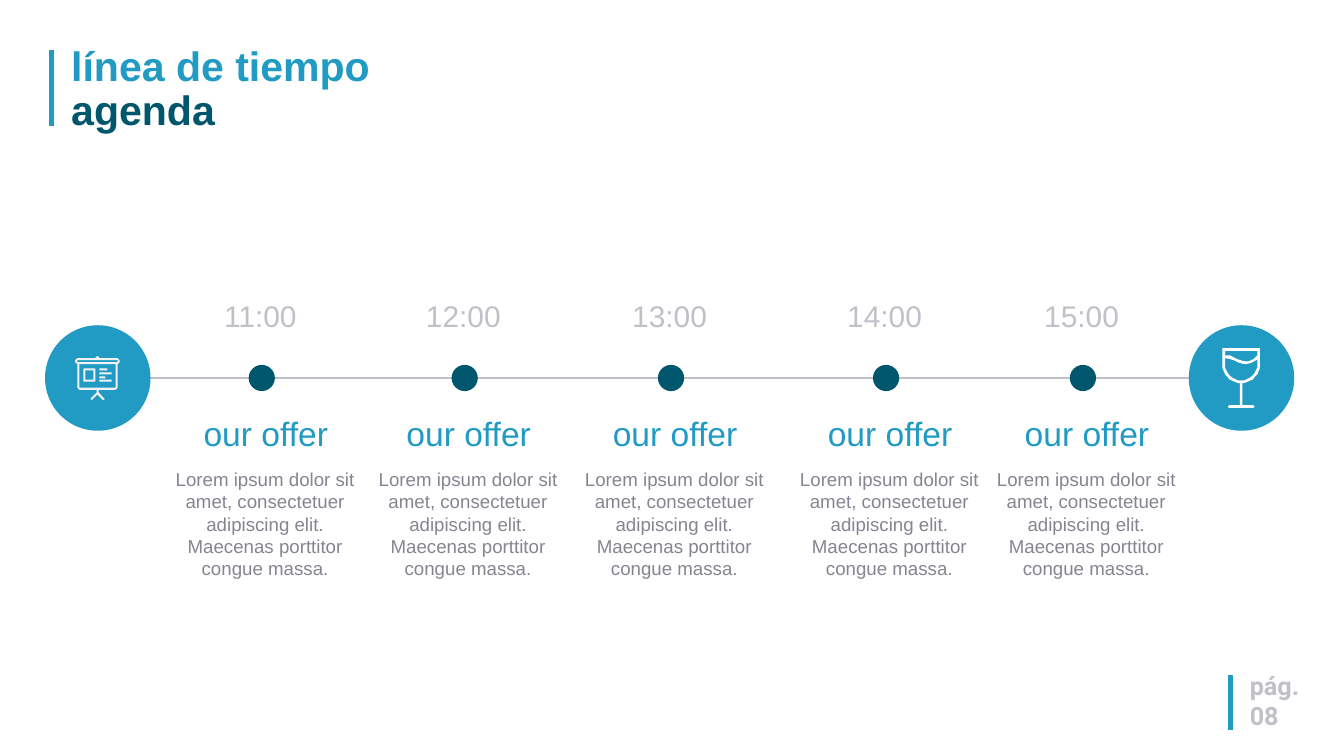
from dataclasses import dataclass
from math import cos, radians, sin

from lxml import etree
from pptx import Presentation
from pptx.dml.color import RGBColor
from pptx.enum.shapes import MSO_CONNECTOR, MSO_SHAPE
from pptx.enum.text import MSO_ANCHOR, MSO_AUTO_SIZE, PP_ALIGN
from pptx.oxml.ns import qn
from pptx.util import Emu, Pt

PX = 9144  # 100 px to the inch


@dataclass(frozen=True)
class Theme:
    blue: str = "219BC3"
    teal: str = "00566C"
    silver: str = "C0C0C8"
    gray: str = "858591"
    white: str = "FFFFFF"
    mist: str = "F2F2F5"
    font: str = "Arial"
    page_font: str = "Roboto"
    title_size: int = 44
    offer_size: int = 36
    time_size: int = 32
    page_size: int = 27
    body_size: int = 20


THEME = Theme()
AXIS_Y = 563
STOPS = [(390, "11:00"), (692, "12:00"), (999, "13:00"), (1319, "14:00"), (1612, "15:00")]
OFFER = "our offer"
BODY = ("Lorem ipsum dolor sit amet, consectetuer adipiscing elit. "
        "Maecenas porttitor congue massa.")


def px(*lengths):
    return [Emu(length * PX) for length in lengths]


def rgb(color):
    return RGBColor.from_string(color)


def style_font(font, size, color, name=THEME.font, bold=False):
    font.name, font.size, font.bold = name, Pt(size), bold
    font.color.rgb = rgb(color)


def paint(shape, color):
    shape.shadow.inherit = False
    shape.fill.solid()
    shape.fill.fore_color.rgb = rgb(color)
    shape.line.fill.background()


def add_line(slide, start, end, color, width):
    line = slide.shapes.add_connector(MSO_CONNECTOR.STRAIGHT, *px(*start, *end))
    line.line.color.rgb = rgb(color)
    line.line.width = Pt(width)
    etree.SubElement(line._element.spPr, qn("a:effectLst"))


def add_circle(shapes, left, top, size, color):
    paint(shapes.add_shape(MSO_SHAPE.OVAL, *px(left, top, size, size)), color)


def add_text(slide, box, lines, size, color, align=PP_ALIGN.CENTER, **font):
    frame = slide.shapes.add_textbox(*px(*box)).text_frame
    frame.word_wrap = True
    frame.auto_size = MSO_AUTO_SIZE.SHAPE_TO_FIT_TEXT
    frame.text = "\n".join(lines)
    for paragraph in frame.paragraphs:
        paragraph.alignment = align
        style_font(paragraph.font, size, color, **font)


def add_title(slide, first, second):
    title = slide.shapes.title
    title.left, title.top, title.width, title.height = px(96, 62, 596, 145)
    frame = title.text_frame
    frame.auto_size = MSO_AUTO_SIZE.SHAPE_TO_FIT_TEXT
    frame.vertical_anchor = MSO_ANCHOR.MIDDLE
    paragraph = frame.paragraphs[0]
    paragraph.alignment = PP_ALIGN.LEFT
    paragraph.line_spacing = 0.9
    for text, color in [(first, THEME.blue), (second, THEME.teal)]:
        if paragraph.runs:
            paragraph.add_line_break()
        run = paragraph.add_run()
        run.text = text
        style_font(run.font, THEME.title_size, color, bold=True)


def rectangle(left, top, right, bottom):
    return [(left, top), (right, top), (right, bottom), (left, bottom)]


def arc(center_x, center_y, radius, start, end, steps=16):
    """Points along a circle, clockwise from the right, in degrees."""
    angles = [radians(start + (end - start) * step / steps) for step in range(steps + 1)]
    return [(center_x + radius * cos(a), center_y + radius * sin(a)) for a in angles]


def board_contours():
    """Flip chart: outline, its holes, then the marks on the sheet."""
    outline = [(115, 533), (142, 533), (143, 531), (145, 530), (147, 531), (148, 533),
               (175, 533), (178, 536), (178, 539), (175, 542), (175, 577), (172, 580),
               (147, 580), (147, 584), (155, 593), (156, 594), (154, 595), (153, 595),
               (145, 587), (137, 595), (136, 595), (135, 594), (135, 593), (144, 584),
               (144, 580), (118, 580), (115, 577), (115, 542), (112, 539), (112, 536)]
    holes = [rectangle(115, 536, 175, 539), rectangle(118, 542, 172, 577)]
    frame = [rectangle(124, 548, 142, 568), rectangle(127, 551, 139, 565)]
    bars = [rectangle(148, top, right, top + 3)
            for top, right in [(548, 160), (554, 166), (560, 157), (565, 166)]]
    return [outline, *holes, *frame, *bars]


def glass_contours():
    """Wine glass: outline, empty part of the bowl, wine."""
    center, rim = 1847, 542
    outline = [(1819, 518), (1875, 518), *arc(center, rim, 28, 0, 86),
               (1849, 603), (1865, 603), (1867, 605), (1865, 607),
               (1829, 607), (1827, 605), (1829, 603), (1845, 603),
               *arc(center, rim, 28, 94, 180)]
    empty = [(1823, 522), (1871, 522), (1871, 529), (1866, 534), (1860, 537), (1855, 538),
             (1849, 537), (1843, 535), (1838, 533), (1831, 529), (1823, 529)]
    wine = [*arc(center, rim, 24, 0, 180), (1823, 533), (1829, 534), (1836, 536),
            (1842, 539), (1848, 541), (1854, 542), (1862, 540), (1871, 535)]
    return [outline, empty, wine]


def add_badge(slide, left, contours, color):
    """Blue disc with an icon cut from closed contours."""
    shapes = slide.shapes.add_group_shape().shapes
    add_circle(shapes, left, 484, 157, THEME.blue)
    builder = shapes.build_freeform(*contours[0][0], scale=PX)
    for index, contour in enumerate(contours):
        if index:
            builder.move_to(*contour[0])
        builder.add_line_segments(contour[1:], close=True)
    paint(builder.convert_to_shape(), color)


def add_stop(slide, center, time):
    add_circle(slide.shapes, center - 20, 543, 39, THEME.teal)
    add_text(slide, (center - 204, 610, 419, 70), [OFFER], THEME.offer_size, THEME.blue)
    add_text(slide, (center - 83, 438, 161, 64), [time], THEME.time_size, THEME.silver)
    add_text(slide, (center - 139, 691, 287, 177), [BODY], THEME.body_size, THEME.gray)


def main():
    presentation = Presentation()
    presentation.slide_width, presentation.slide_height = px(2000, 1125)
    slide = presentation.slides.add_slide(presentation.slide_layouts[5])

    add_line(slide, (1831, 1005), (1831, 1086), THEME.blue, 5)
    add_line(slide, (77, 75), (77, 188), THEME.blue, 5)
    add_line(slide, (1817, AXIS_Y), (156, AXIS_Y), THEME.silver, 2)
    add_title(slide, "línea de tiempo", "agenda")
    add_badge(slide, 1769, glass_contours(), THEME.white)
    add_badge(slide, 67, board_contours(), THEME.mist)
    for center, time in STOPS:
        add_stop(slide, center, time)
    add_text(slide, (1850, 992, 190, 106), ["pág.", "08"], THEME.page_size, THEME.silver,
             align=PP_ALIGN.LEFT, name=THEME.page_font, bold=True)
    presentation.save("out.pptx")


if __name__ == "__main__":
    main()
